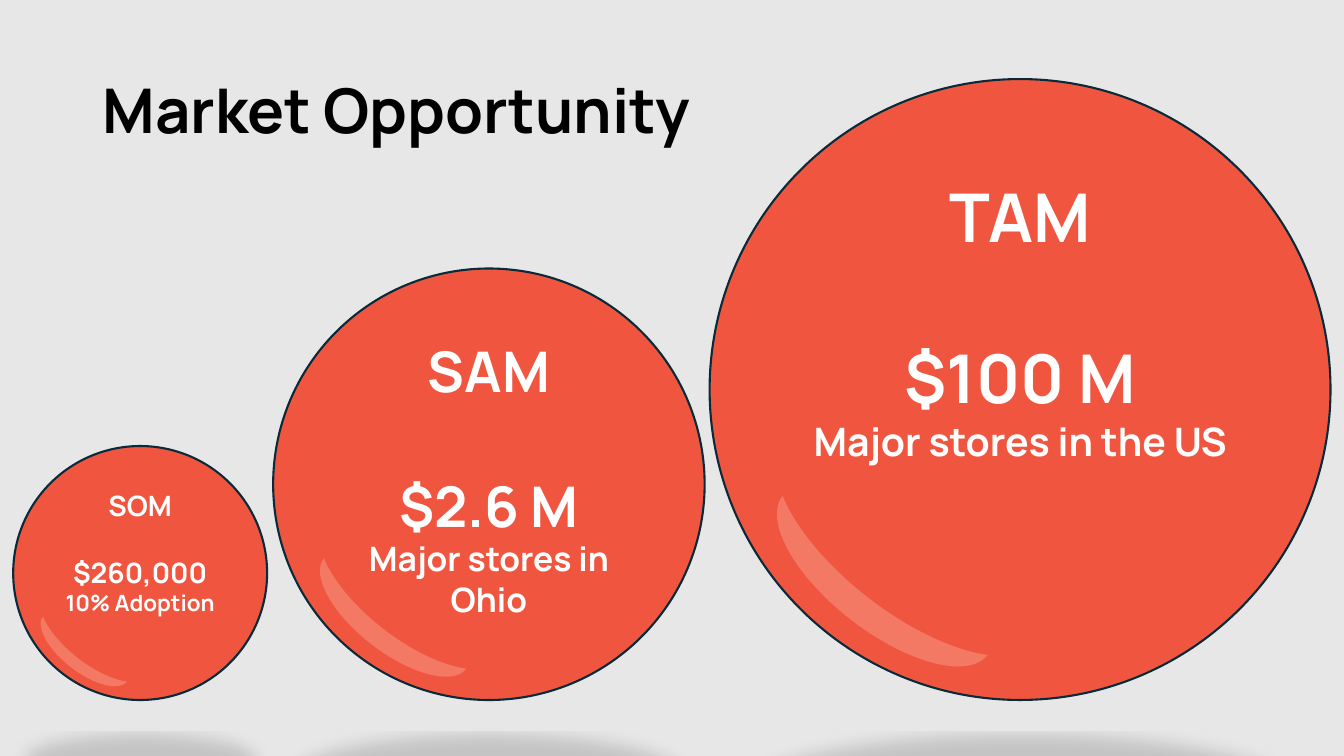
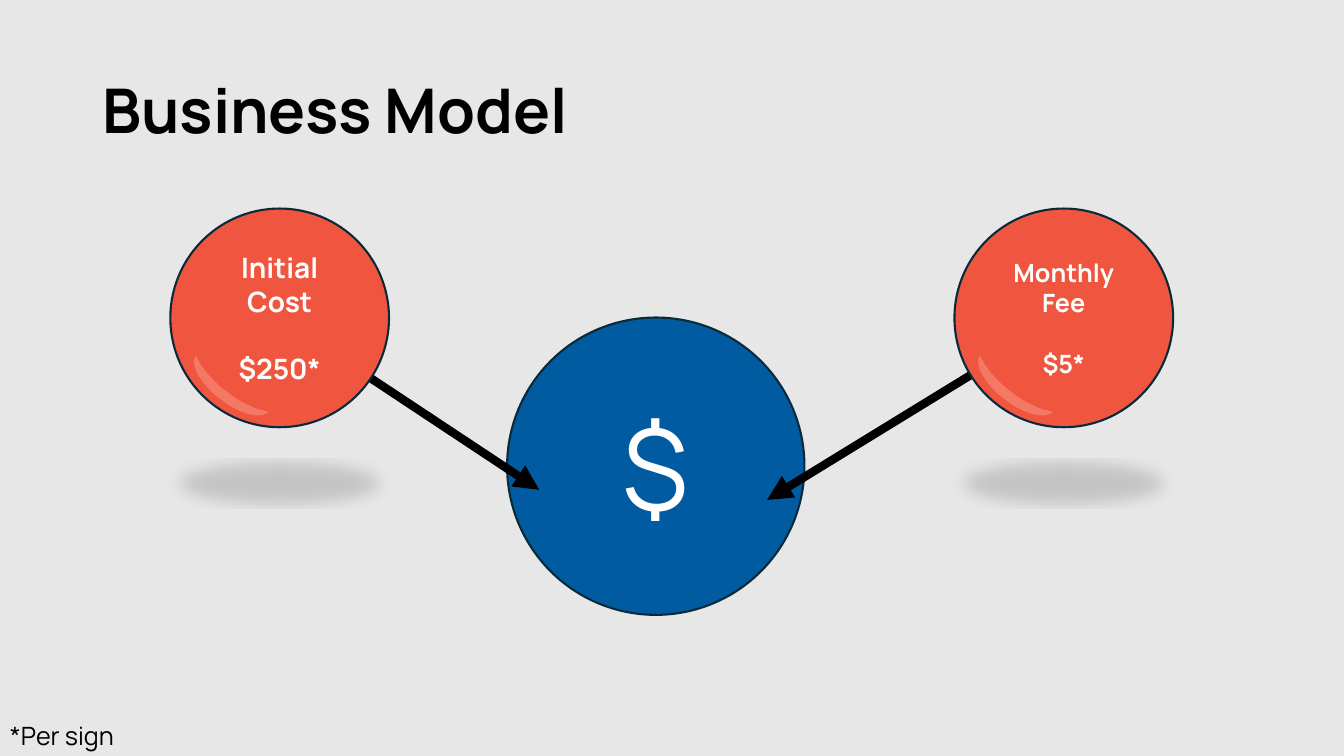
"""Build a two-slide deck on market opportunity and business model."""
from dataclasses import dataclass

from lxml.etree import SubElement
from pptx import Presentation
from pptx.dml.color import RGBColor
from pptx.enum.shapes import MSO_CONNECTOR as Connector, MSO_SHAPE as Preset
from pptx.enum.text import MSO_ANCHOR as Anchor, MSO_AUTO_SIZE as AutoSize, PP_ALIGN as Align
from pptx.oxml.ns import qn
from pptx.util import Pt

FONT = "Manrope"
BACKGROUND, BLACK, WHITE = "E7E7E7", "000000", "FFFFFF"
CORAL, GLOSS, BLUE, OUTLINE = "F0563F", "F37965", "015BA0", "092A39"
MARKET_BASELINE = 500
FEE_TOP, FEE_DIAMETER = 149, 156.2


@dataclass(frozen=True)
class Line:
    """One paragraph, with the space above it counted in blank lines."""
    text: str
    size: float
    gap: int = 0


@dataclass(frozen=True)
class Circle:
    """A circle with its lines of text."""
    left: float
    top: float
    diameter: float
    lines: tuple[Line, ...]
    anchor: Anchor = Anchor.MIDDLE

    @property
    def center(self) -> tuple[float, float]:
        """Return the middle point."""
        return self.left + self.diameter / 2, self.top + self.diameter / 2


def market(left: float, diameter: float, size: float, note_size: float,
           name: str, value: str, note: str) -> Circle:
    """Describe a market circle standing on the shared baseline."""
    lines = (Line(name, size), Line(value, size, 1), Line(note, note_size))
    return Circle(left, MARKET_BASELINE - diameter, diameter, lines, Anchor.TOP)


MARKETS = (
    market(9.4, 181.4, 20, 16, "SOM", "$260,000", "10% Adoption"),
    market(195.1, 308.2, 40, 24, "SAM", "$2.6 M", "Major stores in Ohio"),
    market(506.9, 443.5, 48, 28, "TAM", "$100 M", "Major stores in the US"),
)
REVENUE = Circle(362.2, 226.8, 212.4, (Line("$", 80),))
INITIAL_COST = Circle(121.7, FEE_TOP, FEE_DIAMETER,
                      (Line("Initial Cost", 20), Line("$250*", 20, 1)))
MONTHLY_FEE = Circle(681.8, FEE_TOP, FEE_DIAMETER,
                     (Line("Monthly", 18), Line("Fee", 18), Line("$5*", 18, 1)))
FLOWS = ((INITIAL_COST, (385.2, 349.9)), (MONTHLY_FEE, (547.9, 357.1)))


def paint(fill, color: str) -> None:
    """Make a fill solid in a hex colour."""
    fill.solid()
    fill.fore_color.rgb = RGBColor.from_string(color)


def write_text(shape, *lines: Line, color: str = BLACK, bold: bool = False,
               align: Align = Align.LEFT, anchor: Anchor = Anchor.TOP,
               wrap: bool = True, fit: AutoSize = AutoSize.NONE,
               spacing: float = 1.0) -> None:
    """Fill a shape with formatted lines of text."""
    frame = shape.text_frame
    frame.word_wrap, frame.auto_size, frame.vertical_anchor = wrap, fit, anchor
    for index, line in enumerate(lines):
        paragraph = frame.add_paragraph() if index else frame.paragraphs[0]
        paragraph.alignment, paragraph.line_spacing = align, spacing
        paragraph.space_before = Pt(1.2 * line.size * line.gap)
        run = paragraph.add_run()
        run.text = line.text
        run.font.name, run.font.size, run.font.bold = FONT, Pt(line.size), bold
        paint(run.font.fill, color)


def add_titled_slide(presentation, title: str):
    """Add a title-only slide with the shared title style."""
    slide = presentation.slides.add_slide(presentation.slide_layouts[5])
    shape = slide.shapes.title
    shape.left, shape.top, shape.width, shape.height = Pt(66), Pt(28.8), Pt(828), Pt(104.4)
    write_text(shape, Line(title, 44), bold=True, anchor=Anchor.MIDDLE, spacing=0.9)
    return slide


def add_circle(shapes, circle: Circle, color: str, bold: bool):
    """Draw an outlined circle with centred white text."""
    size = Pt(circle.diameter)
    shape = shapes.add_shape(Preset.OVAL, Pt(circle.left), Pt(circle.top), size, size)
    shape.shadow.inherit = False
    paint(shape.fill, color)
    paint(shape.line.fill, OUTLINE)
    shape.line.width = Pt(1.5)
    write_text(shape, *circle.lines, color=WHITE, bold=bold, align=Align.CENTER,
               anchor=circle.anchor)
    return shape


def add_floor_shadow(shape) -> None:
    """Cast a soft flattened shadow below a shape."""
    effects = shape._element.spPr.find(qn("a:effectLst"))
    shadow = SubElement(effects, qn("a:outerShdw"), blurRad=str(Pt(12)), dist=str(Pt(25)),
                        dir="5400000", sx="90000", sy="-19000", rotWithShape="0")
    color = SubElement(shadow, qn("a:srgbClr"), val=BLACK)
    SubElement(color, qn("a:alpha"), val="15000")


def add_bubble(slide, circle: Circle) -> None:
    """Draw a glossy circle floating above its shadow."""
    shapes = slide.shapes.add_group_shape().shapes
    add_floor_shadow(add_circle(shapes, circle, CORAL, True))
    diameter = circle.diameter
    gloss = shapes.add_shape(Preset.MOON, Pt(circle.left + 0.21 * diameter),
                             Pt(circle.top + 0.626 * diameter),
                             Pt(0.09 * diameter), Pt(0.418 * diameter))
    gloss.rotation = 307.8
    gloss.shadow.inherit = False
    paint(gloss.fill, GLOSS)
    gloss.line.fill.background()


def add_arrow(slide, start: tuple[float, float], end: tuple[float, float]) -> None:
    """Draw a thick black arrow."""
    arrow = slide.shapes.add_connector(Connector.STRAIGHT, *map(Pt, start + end))
    paint(arrow.line.fill, BLACK)
    arrow.line.width = Pt(6)
    SubElement(arrow.line._get_or_add_ln(), qn("a:tailEnd"), type="triangle")
    SubElement(arrow._element.spPr, qn("a:effectLst"))


def build_market_slide(presentation) -> None:
    """Show the three market sizes."""
    slide = add_titled_slide(presentation, "Market Opportunity")
    for circle in MARKETS:
        add_bubble(slide, circle)


def build_model_slide(presentation) -> None:
    """Show the two fees flowing into revenue."""
    slide = add_titled_slide(presentation, "Business Model")
    add_circle(slide.shapes, REVENUE, BLUE, False)
    for circle, target in FLOWS:
        add_arrow(slide, circle.center, target)
    for circle, _ in FLOWS:
        add_bubble(slide, circle)
    footnote = slide.shapes.add_textbox(Pt(0), Pt(511.2), Pt(94.3), Pt(28.8))
    write_text(footnote, Line("*Per sign", 18), wrap=False, fit=AutoSize.SHAPE_TO_FIT_TEXT)


def main() -> None:
    """Build and save the deck."""
    presentation = Presentation()
    presentation.slide_width, presentation.slide_height = Pt(960), Pt(540)
    paint(presentation.slide_master.background.fill, BACKGROUND)
    build_market_slide(presentation)
    build_model_slide(presentation)
    presentation.save("out.pptx")


if __name__ == "__main__":
    main()
